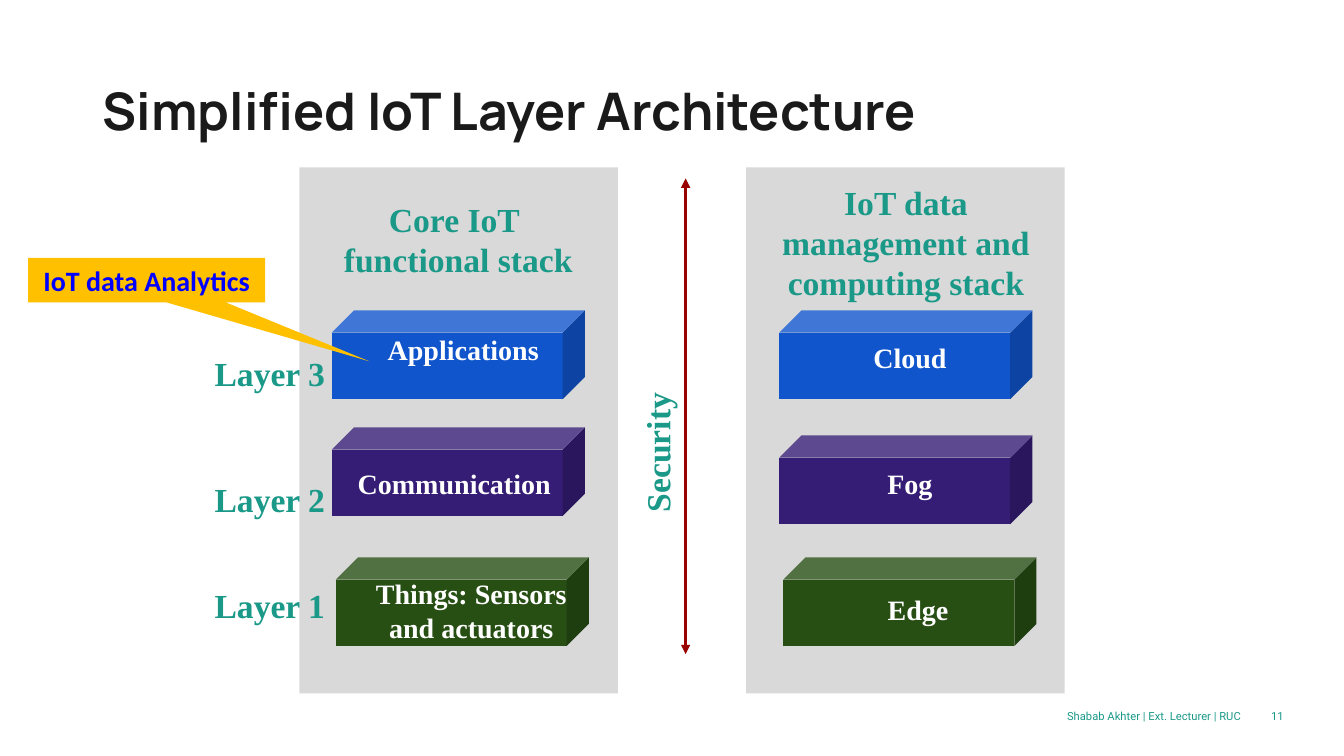
import pptx
import pptx.util
import pptx.dml.color
import pptx.enum.shapes
import pptx.enum.text
import pptx.oxml
import pptx.oxml.ns

COLORS = {
    "ink": "1A1A1A", "teal": "1A9988", "white": "FFFFFF", "panel": "D9D9D9",
    "blue": "1155CC", "purple": "351C75", "green": "274E13",
    "red": "990000", "amber": "FFC000", "link": "0000FF",
}
SERIF = "Times New Roman"
TITLE = "Simplified IoT Layer Architecture"
CUBE_W, CUBE_H, LABEL_H = 2.51, 0.88, 0.4

# (fill, cube left, cube top, label, label left, label top, label width)
STACKS = [
    {"left": 2.97, "heading": ["Core IoT ", "functional stack"],
     "heading_at": (3.17, 1.87, 2.75, 0.95),
     "cubes": [
         ("blue", 3.29, 3.08, "Applications", 3.55, 3.2, 2.09),
         ("purple", 3.29, 4.24, "Communication", 3.38, 4.53, 2.25),
         ("green", 3.33, 5.53, "Things: Sensors and actuators", 3.55, 5.62, 2.25)]},
    {"left": 7.4, "heading": ["IoT data management and computing stack"],
     "heading_at": (7.61, 1.7, 2.75, 1.29),
     "cubes": [
         ("blue", 7.73, 3.08, "Cloud", 7.98, 3.28, 2.09),
         ("purple", 7.73, 4.32, "Fog", 7.9, 4.53, 2.25),
         ("green", 7.77, 5.53, "Edge", 7.98, 5.78, 2.25)]},
]
LAYERS = [("Layer 3", 3.4), ("Layer 2", 4.65), ("Layer 1", 5.7)]
FOOTERS = [("Shabab Akhter | Ext. Lecturer | RUC", 2.41, 10), ("11", 12.41, 0.42)]

Inches = pptx.util.Inches
SHAPE = pptx.enum.shapes.MSO_SHAPE
ALIGN = pptx.enum.text.PP_ALIGN
ANCHOR = pptx.enum.text.MSO_ANCHOR


def rgb(name):
    return pptx.dml.color.RGBColor.from_string(COLORS[name])


def write(sp, lines, size, color, font=SERIF, bold=True, align=ALIGN.CENTER,
          anchor=ANCHOR.TOP, inset=0.1, spacing=None):
    tf = sp.text_frame
    tf.word_wrap = True
    tf.auto_size = pptx.enum.text.MSO_AUTO_SIZE.NONE
    tf.vertical_anchor = anchor
    tf.margin_left = tf.margin_right = Inches(0.1)
    tf.margin_top = tf.margin_bottom = Inches(inset)
    tf.text = "\n".join(lines)
    for p in tf.paragraphs:
        p.alignment = align
        if spacing:
            p.line_spacing = spacing
        p.font.name = font
        p.font.size = pptx.util.Pt(size)
        p.font.bold = bold
        p.font.color.rgb = rgb(color)


def add_text(s, at, lines, size, color, **style):
    sp = s.shapes.add_textbox(*map(Inches, at))
    write(sp, lines, size, color, **style)
    return sp


def add_block(s, kind, at, fill):
    sp = s.shapes.add_shape(kind, *map(Inches, at))
    sp.shadow.inherit = False
    sp.fill.solid()
    sp.fill.fore_color.rgb = rgb(fill)
    sp.line.fill.background()
    return sp


def add_stack(s, stack):
    add_block(s, SHAPE.RECTANGLE, (stack["left"], 1.66, 3.16, 5.22), "panel")
    for fill, left, top, label, label_left, label_top, label_w in stack["cubes"]:
        cube = add_block(s, SHAPE.CUBE, (left, top, CUBE_W, CUBE_H), fill)
        cube.adjustments[0] = 0.25
        add_text(s, (label_left, label_top, label_w, LABEL_H), [label], 20, "white")
    add_text(s, stack["heading_at"], stack["heading"], 24, "teal")


def add_security(s):
    arrow = s.shapes.add_connector(
        pptx.enum.shapes.MSO_CONNECTOR.STRAIGHT,
        *map(Inches, (6.8, 1.77, 6.8, 6.49)))
    arrow.line.color.rgb = rgb("red")
    arrow.line.width = pptx.util.Pt(2.25)
    ln = arrow.line._get_or_add_ln()
    for end in ("headEnd", "tailEnd"):
        ln.append(pptx.oxml.parse_xml(
            f'<a:{end} {pptx.oxml.ns.nsdecls("a")} type="triangle"/>'))
    arrow._element.spPr.append(pptx.oxml.parse_xml(
        f'<a:effectLst {pptx.oxml.ns.nsdecls("a")}/>'))
    label = add_text(s, (5.04, 4.29, 2.75, LABEL_H), ["Security"], 24, "teal")
    label.rotation = 270


def main():
    prs = pptx.Presentation()
    prs.slide_width, prs.slide_height = Inches(13.33), Inches(7.5)
    s = prs.slides.add_slide(prs.slide_layouts[5])

    title = s.shapes.title
    title.left, title.top, title.width, title.height = map(
        Inches, (0.92, 0.4, 11.5, 1.45))
    write(title, [TITLE], 37, "ink", font="Manrope", align=ALIGN.LEFT,
          anchor=ANCHOR.MIDDLE, inset=0.05, spacing=0.9)

    for stack in STACKS:
        add_stack(s, stack)
    add_security(s)
    for label, top in LAYERS:
        add_text(s, (2.03, top, 1.4, LABEL_H), [label], 24, "teal", align=ALIGN.LEFT)

    callout = add_block(s, SHAPE.RECTANGULAR_CALLOUT, (0.28, 2.56, 2.35, 0.44), "amber")
    callout.adjustments[0], callout.adjustments[1] = 0.94, 1.83
    write(callout, ["IoT data Analytics"], 20, "link", font="Calibri",
          anchor=ANCHOR.MIDDLE, inset=0.05)

    for text, left, width in FOOTERS:
        add_text(s, (left, 6.9, width, 0.42), [text], 8, "teal", font="Roboto",
                 bold=False, align=ALIGN.RIGHT, anchor=ANCHOR.MIDDLE,
                 inset=0.05, spacing=0.9)
    prs.save("out.pptx")


if __name__ == "__main__":
    main()
